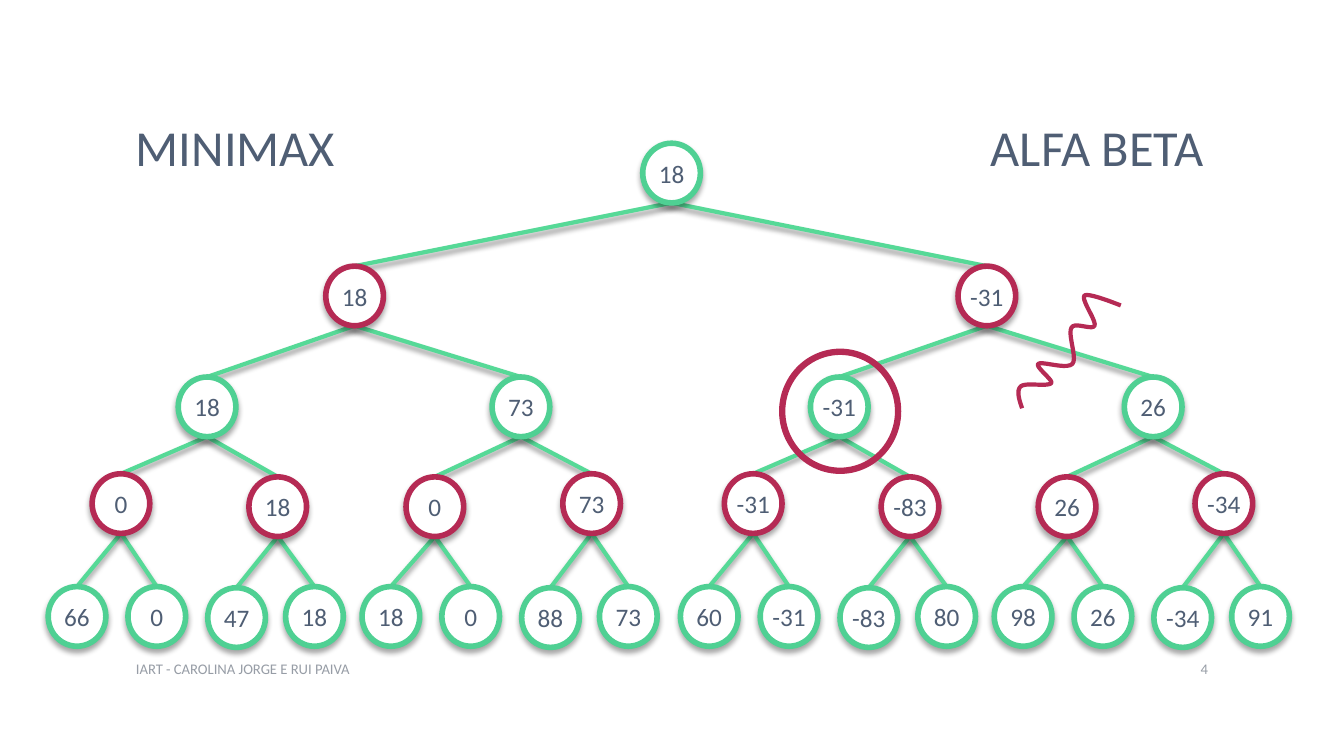
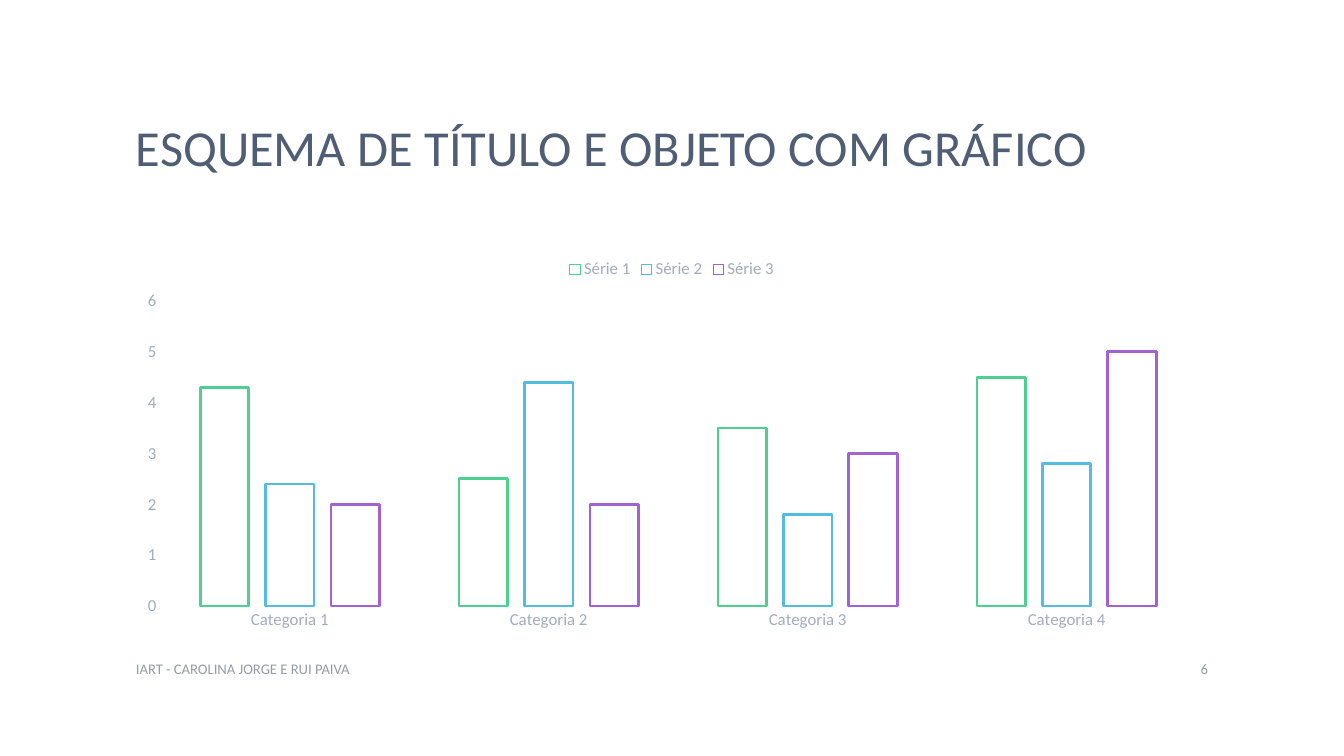
from dataclasses import dataclass
from itertools import cycle

from pptx import Presentation
from pptx.chart.data import CategoryChartData
from pptx.dml.color import RGBColor
from pptx.enum.chart import XL_CHART_TYPE, XL_LEGEND_POSITION, XL_TICK_MARK
from pptx.enum.shapes import MSO_CONNECTOR, MSO_SHAPE
from pptx.enum.text import MSO_ANCHOR, PP_ALIGN
from pptx.oxml import parse_xml
from pptx.oxml.ns import nsdecls
from pptx.util import Pt

FONT = "Calibri"
INK, GREY, PALE = "4F5E74", "979DA6", "A1ADBF"
GREEN, RED, BLUE, PLUM = "4FD093", "B52A54", "54BCDF", "A262D0"
EDGE, WHITE = "56D997", "FFFFFF"
LEFT, WIDTH = 90, 780
WIDE, HIGH = 41.2, 42.6
HALF, QUARTER = 451.6, 224.2


@dataclass
class Node:
    label: str
    mid: float
    top: float
    tone: str


@dataclass
class Row:
    tone: str
    mids: list[float]
    tops: list[float]
    labels: str

    def nodes(self) -> list[Node]:
        return [Node(label, mid, top, self.tone)
                for label, mid, top in zip(self.labels.split(), self.mids, cycle(self.tops))]


@dataclass
class Series:
    name: str
    vals: tuple[float, ...]
    tone: str


def spread(*mids: float) -> list[float]:
    return [half + part + mid for half in (0, HALF) for part in (0, QUARTER) for mid in mids]


ROWS = [
    Row(GREEN, [479.7], [102.3], "18"),
    Row(RED, [253.3, 253.3 + HALF], [190.1], "18 -31"),
    Row(GREEN, spread(147.9), [269.3], "18 73 -31 26"),
    Row(RED, spread(86.4, 198.4), [338.4, 340.6, 340.6, 338.4], "0 18 0 73 -31 -83 26 -34"),
    Row(GREEN, spread(55, 112, 169, 224.6), [419, 419, 419.8, 419],
        "66 0 47 18 18 0 88 73 60 -31 -83 80 98 26 -34 91"),
]

START = (730.1, 291.6)
CURVES = [
    ((727.9, 285.1), (725.8, 278.6), (729.4, 275.8)),
    ((733, 273), (748.8, 276.5), (751, 273.6)),
    ((752.4, 271.4), (739.4, 262.1), (741.6, 259.9)),
    ((744.5, 257.8), (761.8, 264.2), (766.1, 259.9)),
    ((769.7, 255.6), (762.5, 239), (765.4, 234)),
    ((767.5, 229.7), (780.5, 236.2), (781.9, 232.6)),
    ((783.4, 229), (771.8, 213.8), (774.7, 211)),
    ((777.6, 208.8), (800.6, 218.2), (800.6, 218.2)),
]

CATS = [f"Categoria {n}" for n in range(1, 5)]
SERIES = [
    Series("Série 1", (4.3, 2.5, 3.5, 4.5), GREEN),
    Series("Série 2", (2.4, 4.4, 1.8, 2.8), BLUE),
    Series("Série 3", (2, 2, 3, 5), PLUM),
]


def paint(code: str) -> RGBColor:
    return RGBColor.from_string(code)


def style(font, size: float, tone: str) -> None:
    font.name = FONT
    font.size = Pt(size)
    font.color.rgb = paint(tone)


def stroke(line, tone: str, width: float) -> None:
    line.color.rgb = paint(tone)
    line.width = Pt(width)


def shade(shape, alpha: int) -> None:
    shape.element.spPr.append(parse_xml(
        f'<a:effectLst {nsdecls("a")}><a:outerShdw blurRad="{Pt(4)}" dist="{Pt(3)}" '
        f'dir="5400000" rotWithShape="0"><a:srgbClr val="000000">'
        f'<a:alpha val="{alpha * 1000}"/></a:srgbClr></a:outerShdw></a:effectLst>'))


def write(frame, text: str, size: float, tone: str, align=PP_ALIGN.LEFT) -> None:
    frame.vertical_anchor = MSO_ANCHOR.MIDDLE
    para = frame.paragraphs[0]
    para.alignment = align
    run = para.add_run()
    run.text = text
    style(run.font, size, tone)


def label(slide, text: str, box: tuple, size: float, tone: str, align=PP_ALIGN.LEFT):
    frame = slide.shapes.add_textbox(*map(Pt, box)).text_frame
    frame.word_wrap = True
    write(frame, text, size, tone, align)
    return frame


def title(slide, text: str, left: float = LEFT, width: float = WIDTH) -> None:
    frame = label(slide, text, (left, 49, width, 116.6), 36, INK)
    frame.paragraphs[0].line_spacing = 0.9


def foot(slide, page: int) -> None:
    label(slide, "IART - CAROLINA JORGE E RUI PAIVA", (LEFT, 463, 491, 28.8), 10.5, GREY)
    label(slide, str(page), (809.5, 463, 60.5, 28.8), 10.5, GREY, PP_ALIGN.RIGHT)


def link(slide, top: Node, low: Node) -> None:
    ends = map(Pt, (top.mid, top.top + HIGH, low.mid, low.top))
    line = slide.shapes.add_connector(MSO_CONNECTOR.STRAIGHT, *ends)
    stroke(line.line, EDGE, 3)
    shade(line, 40)


def disc(slide, node: Node) -> None:
    box = map(Pt, (node.mid - WIDE / 2, node.top, WIDE, HIGH))
    shape = slide.shapes.add_shape(MSO_SHAPE.OVAL, *box)
    shape.fill.solid()
    shape.fill.fore_color.rgb = paint(WHITE)
    stroke(shape.line, node.tone, 4)
    shade(shape, 35)
    frame = shape.text_frame
    frame.word_wrap = False
    frame.margin_left = frame.margin_right = frame.margin_top = frame.margin_bottom = 0
    write(frame, node.label, 18, INK, PP_ALIGN.CENTER)


def tree(slide) -> None:
    grid = [row.nodes() for row in ROWS]
    for tops, lows in zip(grid, grid[1:]):
        for i, low in enumerate(lows):
            link(slide, tops[i // 2], low)
    for row in grid:
        for node in row:
            disc(slide, node)


def bare(shape, width: float) -> None:
    shape.fill.background()
    shape.shadow.inherit = False
    stroke(shape.line, RED, width)


def bend(start: tuple, curve: tuple, t: float) -> tuple:
    u = 1 - t
    return tuple(Pt(u**3 * a + 3 * u * u * t * b + 3 * u * t * t * c + t**3 * d)
                 for a, b, c, d in zip(start, *curve))


def wave(slide) -> None:
    steps = 10
    starts = [START] + [curve[-1] for curve in CURVES]
    dots = [bend(start, curve, n / steps)
            for start, curve in zip(starts, CURVES) for n in range(1, steps + 1)]
    form = slide.shapes.build_freeform(*map(Pt, START))
    form.add_line_segments(dots, close=False)
    bare(form.convert_to_shape(), 3)


def ring(slide) -> None:
    box = map(Pt, (558.7, 251.3, 82.8, 85))
    bare(slide.shapes.add_shape(MSO_SHAPE.OVAL, *box), 4.5)


def graph(slide) -> None:
    data = CategoryChartData()
    data.categories = CATS
    for item in SERIES:
        data.add_series(item.name, item.vals)
    box = map(Pt, (LEFT, 177, WIDTH, 278.6))
    chart = slide.shapes.add_chart(XL_CHART_TYPE.COLUMN_CLUSTERED, *box, data).chart
    style(chart.font, 10, INK)
    chart.has_title = False
    chart.has_legend = True
    chart.legend.position = XL_LEGEND_POSITION.TOP
    chart.legend.include_in_layout = False
    style(chart.legend.font, 12, PALE)
    for axis in (chart.category_axis, chart.value_axis):
        axis.has_major_gridlines = False
        axis.major_tick_mark = axis.minor_tick_mark = XL_TICK_MARK.NONE
        axis.format.line.fill.background()
        style(axis.tick_labels.font, 12, PALE)
    chart.value_axis.minimum_scale = 0
    chart.value_axis.maximum_scale = 6
    chart.value_axis.major_unit = 1
    plot = chart.plots[0]
    plot.gap_width = 164
    plot.overlap = -35
    plot.vary_by_categories = False
    for bars, item in zip(plot.series, SERIES):
        bars.invert_if_negative = False
        bars.format.fill.background()
        stroke(bars.format.line, item.tone, 2)


def main() -> None:
    deck = Presentation()
    deck.slide_width, deck.slide_height = Pt(960), Pt(540)
    blank = deck.slide_layouts[6]

    search = deck.slides.add_slide(blank)
    title(search, "MINIMAX")
    title(search, "ALFA BETA", 700.6, 180.7)
    tree(search)
    wave(search)
    ring(search)
    foot(search, 4)

    stats = deck.slides.add_slide(blank)
    title(stats, "ESQUEMA DE TÍTULO E OBJETO COM GRÁFICO")
    graph(stats)
    foot(stats, 6)

    deck.save("out.pptx")


if __name__ == "__main__":
    main()
